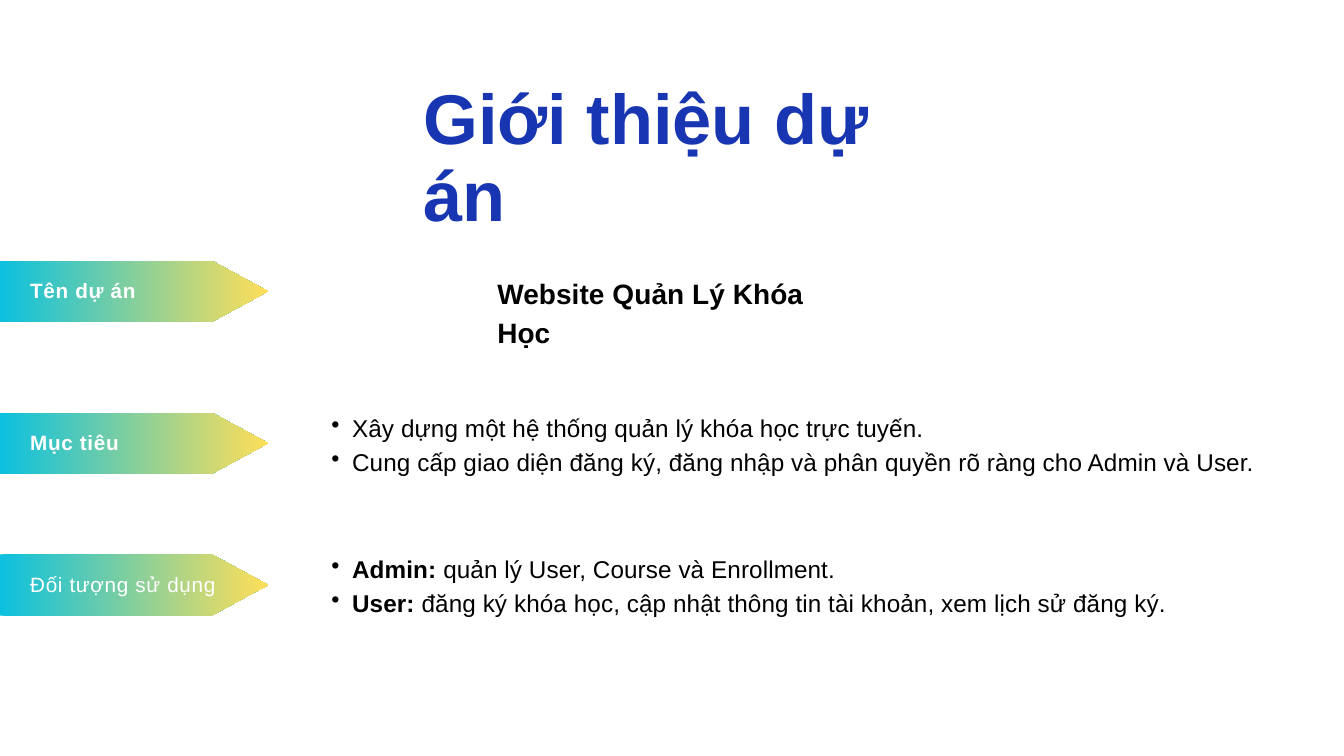
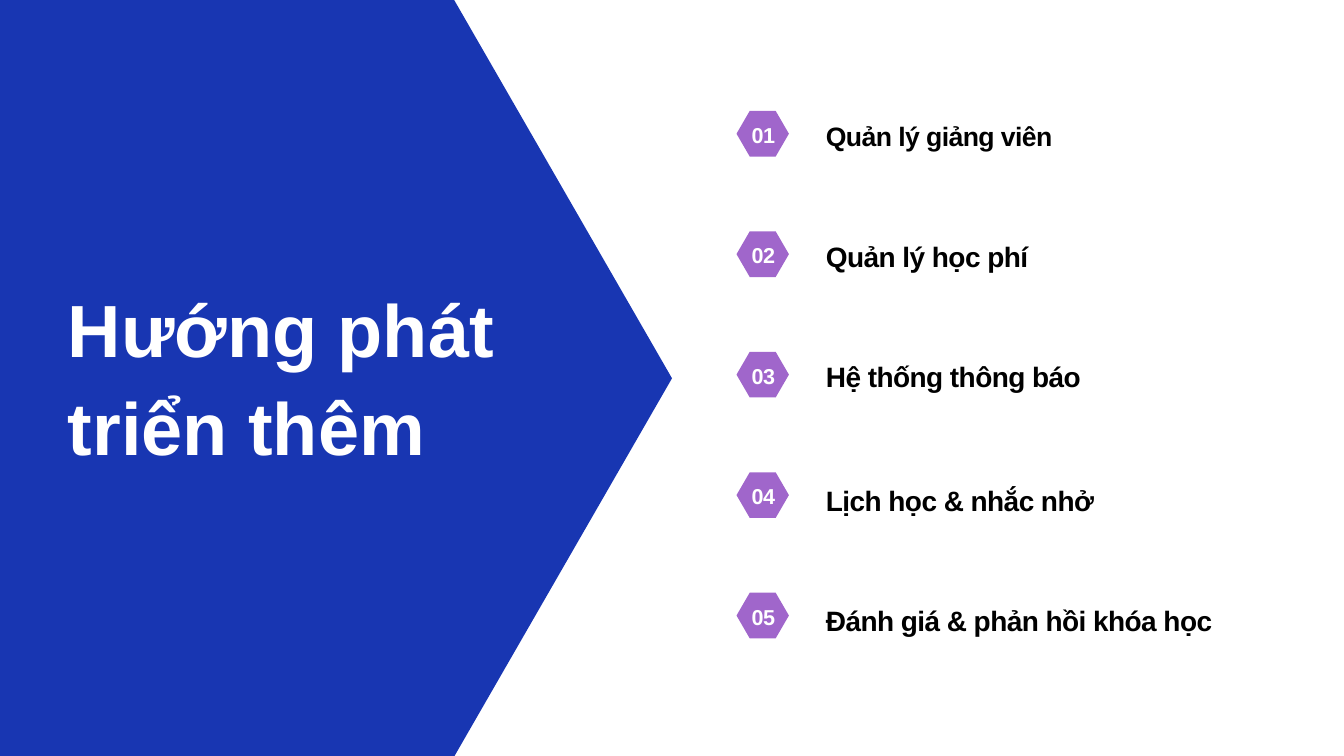
from dataclasses import dataclass

from lxml import etree
from pptx import Presentation
from pptx.dml import color
from pptx.enum import shapes as kinds, text as options
from pptx.oxml import ns
from pptx.util import Inches, Pt

RGB = color.RGBColor.from_string


@dataclass(frozen=True)
class Style:
    size: float
    leading: float
    colour: str
    bold: bool = True
    spacing: float = 0


class Theme:
    font = "Arial"
    blue, purple, black, white = "1836B2", "A066CB", "000000", "FFFFFF"
    gradient = ("0CC0DF", "FFDE59")
    title = Style(75.5, 83, blue)
    panel_title = Style(79.2, 105.4, white)
    tag = Style(22.2, 26.7, white, spacing=0.7)
    light_tag = Style(22.2, 26.7, white, bold=False, spacing=0.7)
    name = Style(30, 42, black, spacing=0.1)
    body = Style(26, 36.4, black, bold=False, spacing=0.1)
    badge = Style(23.1, 32.4, white, spacing=-0.5)
    item = Style(30, 39, black, spacing=-0.6)
    first_item = Style(28.5, 37, black, spacing=-0.6)


# Shared parts
def add_bullet(paragraph):
    properties = paragraph._p.get_or_add_pPr()
    properties.set("marL", str(Inches(0.61)))
    properties.set("indent", str(Inches(-0.31)))
    paragraph.level = 1
    etree.SubElement(properties, ns.qn("a:buChar")).set("char", "•")


def add_text(container, box, paragraphs, style, centred=False, bulleted=False):
    """Each paragraph is a list of (text, bold) runs; bold None follows the style."""
    frame = container.add_textbox(*map(Inches, box)).text_frame
    frame.margin_left = frame.margin_right = frame.margin_top = frame.margin_bottom = 0
    frame.word_wrap = True
    frame.auto_size = options.MSO_AUTO_SIZE.SHAPE_TO_FIT_TEXT
    for index, runs in enumerate(paragraphs):
        paragraph = frame.add_paragraph() if index else frame.paragraphs[0]
        if bulleted:
            add_bullet(paragraph)
        paragraph.line_spacing = Pt(style.leading)
        paragraph.alignment = options.PP_ALIGN.CENTER if centred else options.PP_ALIGN.LEFT
        for words, bold in runs:
            run = paragraph.add_run()
            run.text = words
            run.font.name = Theme.font
            run.font.size = Pt(style.size)
            run.font.bold = style.bold if bold is None else bold
            run.font.color.rgb = RGB(style.colour)
            if style.spacing:
                run._r.get_or_add_rPr().set("spc", str(round(style.spacing * 100)))


def add_line(container, box, words, style, centred=False):
    add_text(container, box, [[(words, None)]], style, centred)


def add_outline(container, kind, box, adjustment):
    shape = container.add_shape(kind, *map(Inches, box))
    shape.adjustments[0] = adjustment
    shape.shadow.inherit = False
    shape.line.fill.background()
    return shape


def add_hexagon(container, box, adjustment, fill):
    shape = add_outline(container, kinds.MSO_SHAPE.HEXAGON, box, adjustment)
    shape.fill.solid()
    shape.fill.fore_color.rgb = RGB(fill)


# Project introduction
def add_arrow_tag(slide, box, words, style):
    left, top, width, height = box
    group = slide.shapes.add_group_shape().shapes
    arrow = add_outline(group, kinds.MSO_SHAPE.PENTAGON, box, 0.92)
    arrow.fill.gradient()
    arrow.fill.gradient_angle = 0
    for stop, colour in zip(arrow.fill.gradient_stops, Theme.gradient):
        stop.color.rgb = RGB(colour)
    add_line(group, (left + 0.45, top + 0.26, width - 1.15, 0.37), words, style)


def build_introduction(slide):
    tags = [
        (3.88, "Tên dự án", Theme.tag),
        (6.14, "Mục tiêu", Theme.tag),
        (8.25, "Đối tượng sử dụng", Theme.light_tag),
    ]
    for top, words, style in tags:
        add_arrow_tag(slide, (0, top, 3.99, 0.91), words, style)

    add_line(slide.shapes, (7.4, 4.03, 5.21, 0.55), "Website Quản Lý Khóa Học", Theme.name)

    goals = [
        [("Xây dựng một hệ thống quản lý khóa học trực tuyến.", None)],
        [("Cung cấp giao diện đăng ký, đăng nhập và phân quyền rõ ràng cho Admin và User.", None)],
    ]
    users = [
        [("Admin:", True), (" quản lý User, Course và Enrollment.", None)],
        [("User:", True),
         (" đăng ký khóa học, cập nhật thông tin tài khoản, xem lịch sử đăng ký.", None)],
    ]
    for top, width, paragraphs in ((6.07, 14.24, goals), (8.18, 13.08, users)):
        add_text(slide.shapes, (4.63, top, width, 0.99), paragraphs, Theme.body, bulleted=True)

    add_line(slide.shapes, (6.3, 1.2, 7.39, 1.18), "Giới thiệu dự án", Theme.title)


# Further development
def add_title_panel(slide, box, words):
    left, top, width, height = box
    add_hexagon(slide.shapes, box, 0.3, Theme.blue)
    add_line(slide.shapes, (left + 6.02, top + 6.26, 6.36, 2.89), words, Theme.panel_title)


def add_badge(slide, box, number):
    left, top, width, height = box
    group = slide.shapes.add_group_shape().shapes
    add_hexagon(group, box, 0.29, Theme.purple)
    add_line(group, (left + 0.18, top + 0.1, 0.44, 0.43), f"{number:02}", Theme.badge, centred=True)


def build_development(slide):
    # Label, its drop below the badge top, its width and its style
    items = [
        ("Quản lý giảng viên", 0.09, 6.3, Theme.first_item),
        ("Quản lý học phí", 0.08, 5.61, Theme.item),
        ("Hệ thống thông báo", 0.08, 5.61, Theme.item),
        ("Lịch học & nhắc nhở", 0.12, 6.54, Theme.item),
        ("Đánh giá & phản hồi khóa học", 0.12, 6.66, Theme.item),
    ]
    first_top, last_top = 1.65, 8.82
    pitch = (last_top - first_top) / (len(items) - 1)

    add_title_panel(slide, (-5.01, -2.19, 15.01, 15.64), "Hướng phát triển thêm")
    for index, (words, drop, width, style) in enumerate(items):
        top = first_top + index * pitch
        add_badge(slide, (10.96, top, 0.78, 0.68), index + 1)
        add_line(slide.shapes, (12.29, top + drop, width, 0.54), words, style)


def main():
    presentation = Presentation()
    presentation.slide_width = Inches(20)
    presentation.slide_height = Inches(11.25)
    for build in (build_introduction, build_development):
        build(presentation.slides.add_slide(presentation.slide_layouts[6]))
    presentation.save("out.pptx")


if __name__ == "__main__":
    main()
